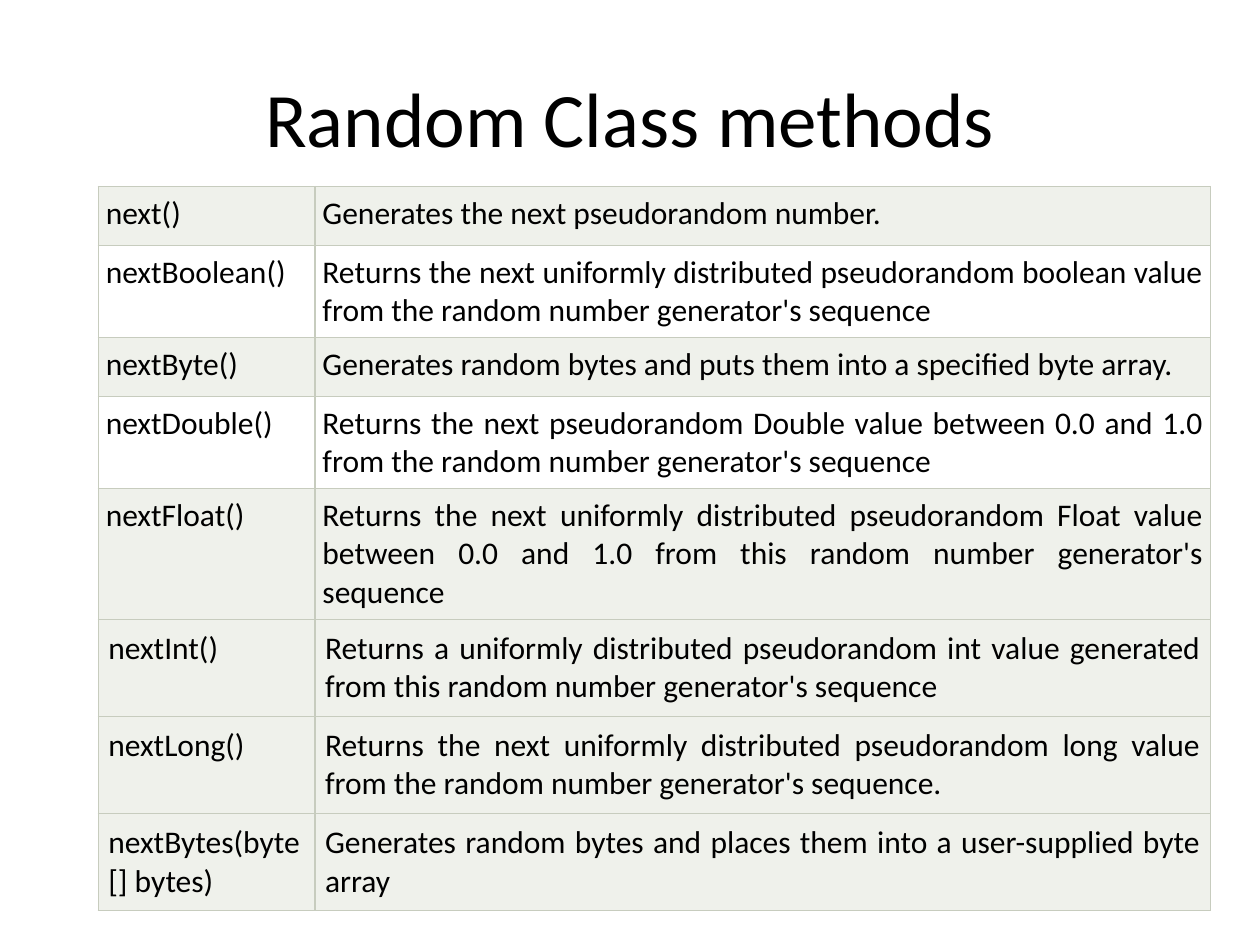
from typing import NamedTuple

from lxml import etree
from pptx import Presentation
from pptx.dml.color import RGBColor
from pptx.enum.text import MSO_ANCHOR, PP_ALIGN
from pptx.oxml.ns import qn
from pptx.util import Inches, Pt

CENTER, JUSTIFY = PP_ALIGN.CENTER, PP_ALIGN.JUSTIFY
MIDDLE = MSO_ANCHOR.MIDDLE
BLACK = RGBColor(0x00, 0x00, 0x00)
WHITE = RGBColor(0xFF, 0xFF, 0xFF)
PALE_GREEN = RGBColor(0xEF, 0xF1, 0xEB)
BORDER_GREEN = RGBColor(0xC7, 0xCC, 0xBE)
TITLE_ONLY = 5
TIGHT, ROOMY = 0.06, 0.08
COLUMN_WIDTHS = (1.72, 7.11)


class Method(NamedTuple):
    signature: str
    description: str
    height: float
    fill: RGBColor = PALE_GREEN
    margin: float = TIGHT


METHODS = [
    Method("next()", "Generates the next pseudorandom number.", 0.47),
    Method("nextBoolean()",
           "Returns the next uniformly distributed pseudorandom boolean value "
           "from the random number generator's sequence", 0.63, WHITE),
    Method("nextByte()",
           "Generates random bytes and puts them into a specified byte array.", 0.47),
    Method("nextDouble()",
           "Returns the next pseudorandom Double value between 0.0 and 1.0 "
           "from the random number generator's sequence", 0.55, WHITE),
    Method("nextFloat()",
           "Returns the next uniformly distributed pseudorandom Float value "
           "between 0.0 and 1.0 from this random number generator's sequence", 0.66),
    Method("nextInt()",
           "Returns a uniformly distributed pseudorandom int value generated "
           "from this random number generator's sequence", 0.63, margin=ROOMY),
    Method("nextLong()",
           "Returns the next uniformly distributed pseudorandom long value "
           "from the random number generator's sequence.", 0.69, margin=ROOMY),
    Method("nextBytes(byte[] bytes)",
           "Generates random bytes and places them into a user-supplied byte array",
           0.63, margin=ROOMY),
]


def write_text(frame, text: str, size: int, alignment) -> None:
    paragraph = frame.paragraphs[0]
    paragraph.alignment = alignment
    run = paragraph.add_run()
    run.text = text
    for name, value in {"name": "Calibri", "size": Pt(size), "bold": False}.items():
        setattr(run.font, name, value)
    run.font.color.rgb = BLACK


def add_borders(cell) -> None:
    """Outline all four sides; borders must precede the fill in the cell XML."""
    properties = cell._tc.get_or_add_tcPr()
    for index, side in enumerate(("a:lnL", "a:lnR", "a:lnT", "a:lnB")):
        line = etree.Element(qn(side), w=str(Pt(0.75)))
        fill = etree.SubElement(line, qn("a:solidFill"))
        etree.SubElement(fill, qn("a:srgbClr"), val=str(BORDER_GREEN))
        properties.insert(index, line)


def fill_cell(cell, text: str, method: Method) -> None:
    for side in ("left", "right", "top", "bottom"):
        setattr(cell, f"margin_{side}", Inches(method.margin))
    cell.fill.solid()
    cell.fill.fore_color.rgb = method.fill
    add_borders(cell)
    write_text(cell.text_frame, text, 18, JUSTIFY)


def add_method_table(slide, methods: list[Method]) -> None:
    table = slide.shapes.add_table(
        len(methods), len(COLUMN_WIDTHS), Inches(0.78), Inches(1.48),
        Inches(sum(COLUMN_WIDTHS)), Inches(sum(m.height for m in methods))).table
    table.first_row = table.horz_banding = False
    for column, width in zip(table.columns, COLUMN_WIDTHS):
        column.width = Inches(width)
    for row, method in zip(table.rows, methods):
        row.height = Inches(method.height)
        for cell, text in zip(row.cells, (method.signature, method.description)):
            fill_cell(cell, text, method)


def main() -> None:
    presentation = Presentation()
    presentation.slide_width, presentation.slide_height = Inches(10), Inches(7.5)
    slide = presentation.slides.add_slide(presentation.slide_layouts[TITLE_ONLY])

    title = slide.shapes.title
    bounds = {"left": 0.5, "top": 0.3, "width": 9, "height": 1.25}
    for name, value in bounds.items():
        setattr(title, name, Inches(value))
    title.text_frame.vertical_anchor = MIDDLE
    write_text(title.text_frame, "Random Class methods", 44, CENTER)

    add_method_table(slide, METHODS)
    presentation.save("out.pptx")


if __name__ == "__main__":
    main()
